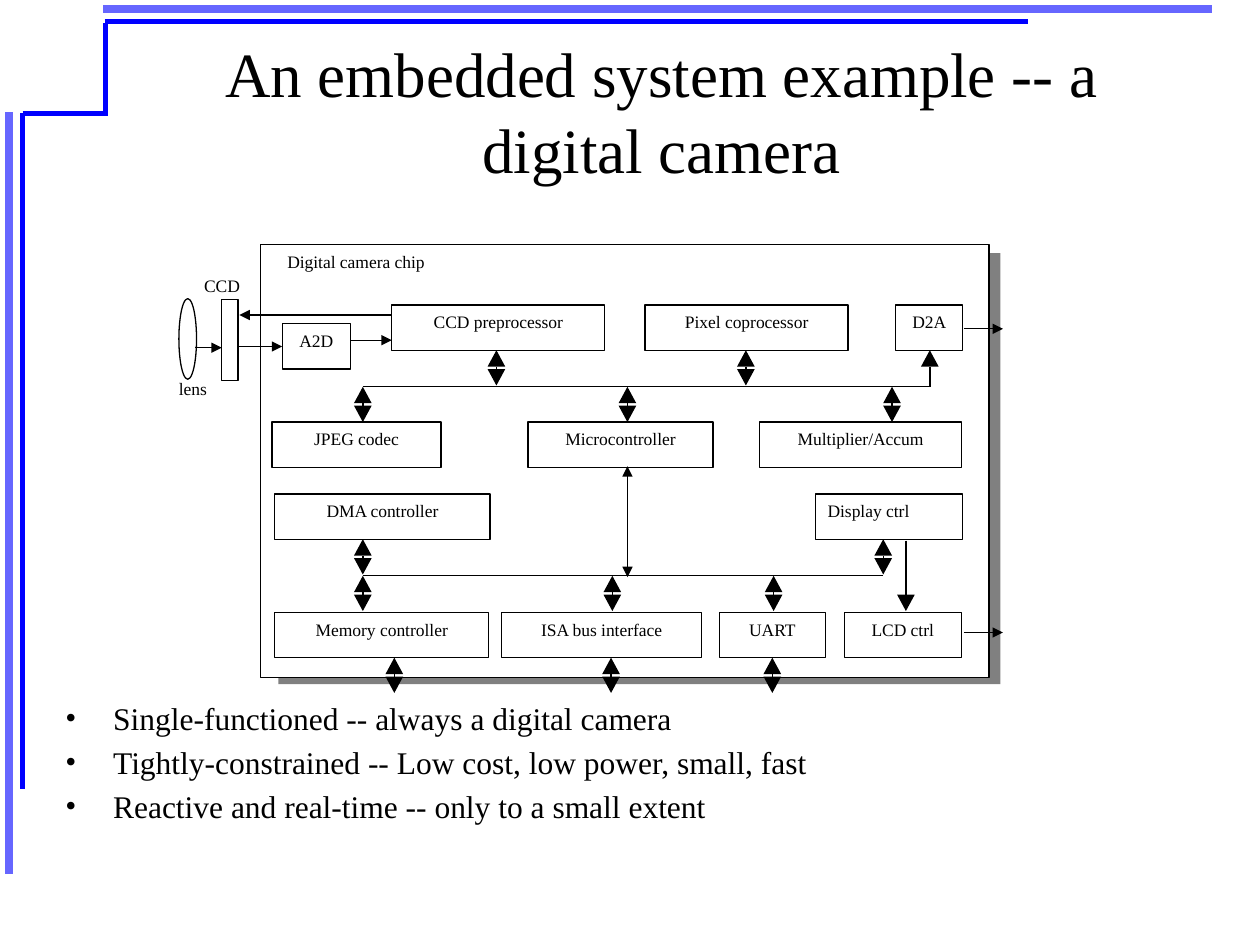
from lxml.etree import SubElement
from pptx import Presentation
from pptx.dml.color import RGBColor
from pptx.enum.shapes import MSO_CONNECTOR, MSO_SHAPE
from pptx.enum.text import MSO_ANCHOR, MSO_AUTO_SIZE, PP_ALIGN
from pptx.oxml.ns import qn
from pptx.util import Inches, Pt

# Content
TITLE = "An embedded system example -- a digital camera"
BULLETS = [
    "Single-functioned -- always a digital camera",
    "Tightly-constrained -- Low cost, low power, small, fast",
    "Reactive and real-time -- only to a small extent",
]
# Rows of blocks: top, then (name, left, width)
BLOCK_ROWS = [
    (2.42, [("CCD preprocessor", 3.11, 1.69), ("Pixel coprocessor", 5.12, 1.61),
            ("D2A", 7.11, 0.53)]),
    (2.57, [("A2D", 2.24, 0.54)]),
    (3.35, [("JPEG codec", 2.16, 1.34), ("Microcontroller", 4.19, 1.47),
            ("Multiplier/Accum", 6.03, 1.6)]),
    (3.92, [("DMA controller", 2.18, 1.71), ("Display ctrl", 6.47, 1.17)]),
    (4.86, [("Memory controller", 2.18, 1.7), ("ISA bus interface", 3.98, 1.59),
            ("UART", 5.71, 0.84), ("LCD ctrl", 6.7, 0.93)]),
]
LEFT_ALIGNED = {"Display ctrl"}
LABELS = [("Digital camera chip", 2.28, 1.99, 1.12), ("lens", 1.42, 3, 0.25),
          ("CCD", 1.62, 2.18, 0.31)]
# Short two-way links: top, then the centre of each
LINK_ROWS = [
    (2.78, [3.94, 5.92]),
    (3.07, [2.88, 4.98, 7.08]),
    (4.28, [2.88, 7.01]),
    (4.57, [2.88, 4.86, 6.14]),
    (5.22, [3.13, 4.85, 6.13]),
]
BUSES = [(2.88, 3.07, 7.38, 3.07), (2.88, 4.57, 7.01, 4.57)]
SIGNALS = [
    (2.78, 2.7, 3.11, 2.7), (1.9, 2.75, 2.24, 2.75), (1.55, 2.76, 1.76, 2.76),
    (3.11, 2.5, 1.9, 2.5), (7.65, 2.61, 7.96, 2.61), (7.65, 5.02, 7.96, 5.02),
]
OUTER_FRAME = [(0.07, 0.89, 0.07, 6.94), (0.82, 0.07, 9.62, 0.07)]
INNER_FRAME = [(0.18, 0.9, 0.18, 6.26), (0.83, 0.17, 8.16, 0.17),
               (0.18, 0.9, 0.85, 0.9), (0.84, 0.92, 0.84, 0.18)]

THEME = {
    "font": "Times New Roman", "title": 36, "body": 18, "label": 10,
    "ink": "000000", "paper": "FFFFFF", "shadow": "808080",
    "outer": "6666FF", "inner": "0000FF",
}
BLOCK_HEIGHT = 0.36
LINK_HEIGHT = 0.28
HEAD_WIDTH, HEAD_HEIGHT = 0.14, 0.13

presentation = Presentation()
presentation.slide_width, presentation.slide_height = Inches(10), Inches(7.5)
slide = presentation.slides.add_slide(presentation.slide_layouts[5])
shapes = slide.shapes


def color(name):
    return RGBColor.from_string(THEME[name])


def box(*lengths):
    return [Inches(length) for length in lengths]


def style_text(paragraph, size, align=PP_ALIGN.LEFT):
    paragraph.alignment = align
    paragraph.font.name = THEME["font"]
    paragraph.font.size = Pt(THEME[size])
    paragraph.font.color.rgb = color("ink")


def set_margins(frame, horizontal, vertical):
    frame.margin_left = frame.margin_right = Inches(horizontal)
    frame.margin_top = frame.margin_bottom = Inches(vertical)


def add_line(start_x, start_y, end_x, end_y, ink="ink", width=0.75, ends=()):
    line = shapes.add_connector(MSO_CONNECTOR.STRAIGHT,
                                *box(start_x, start_y, end_x, end_y))
    line.line.color.rgb = color(ink)
    line.line.width = Pt(width)
    for end in ends:
        SubElement(line.line._get_or_add_ln(), qn(f"a:{end}"), type="triangle")
    SubElement(line._element.spPr, qn("a:effectLst"))


def add_outline(kind, left, top, width, height, fill=None, line="ink"):
    shape = shapes.add_shape(kind, *box(left, top, width, height))
    shape.shadow.inherit = False
    if fill:
        shape.fill.solid()
        shape.fill.fore_color.rgb = color(fill)
    else:
        shape.fill.background()
    if line:
        shape.line.color.rgb = color(line)
        shape.line.width = Pt(0.75)
    else:
        shape.line.fill.background()
    return shape


def add_head(x, tip, direction):
    """Solid arrowhead; direction is -1 for up and 1 for down."""
    base = tip - direction * HEAD_HEIGHT
    half = HEAD_WIDTH / 2
    builder = shapes.build_freeform(Inches(x - half), Inches(base))
    builder.add_line_segments([box(x, tip), box(x + half, base)], close=True)
    head = builder.convert_to_shape()
    head.shadow.inherit = False
    head.fill.solid()
    head.fill.fore_color.rgb = color("ink")
    head.line.fill.background()


# Corner frame
for ends in OUTER_FRAME:
    add_line(*ends, ink="outer", width=4.5)
for ends in INNER_FRAME:
    add_line(*ends, ink="inner", width=3)

# Title
title = shapes.title
title.left, title.top, title.width, title.height = box(1, 0.25, 8.5, 1.25)
title.text_frame.text = TITLE
title.text_frame.auto_size = MSO_AUTO_SIZE.NONE
title.text_frame.vertical_anchor = MSO_ANCHOR.MIDDLE
style_text(title.text_frame.paragraphs[0], "title", PP_ALIGN.CENTER)

# Bullets
body = shapes.add_textbox(*box(0.42, 5.5, 9.17, 1.08)).text_frame
body.word_wrap = True
body.text = "\n".join(BULLETS)
for index, paragraph in enumerate(body.paragraphs):
    properties = paragraph._p.get_or_add_pPr()
    properties.set("marL", str(Inches(0.38)))
    properties.set("indent", str(-Inches(0.38)))
    SubElement(properties, qn("a:buFont"), typeface=THEME["font"])
    SubElement(properties, qn("a:buChar"), char="•")
    style_text(paragraph, "body")
    if index:
        paragraph.space_before = Pt(3.6)

# Chip with its shadow, lens and CCD
add_outline(MSO_SHAPE.RECTANGLE, 2.21, 2.01, 5.73, 3.42, "shadow", None)
add_outline(MSO_SHAPE.RECTANGLE, 2.07, 1.94, 5.78, 3.44, "paper")
add_outline(MSO_SHAPE.OVAL, 1.42, 2.37, 0.14, 0.64, "paper")
add_outline(MSO_SHAPE.RECTANGLE, 1.76, 2.38, 0.13, 0.64, "paper")

# Blocks
for top, blocks in BLOCK_ROWS:
    for name, left, width in blocks:
        block = add_outline(MSO_SHAPE.RECTANGLE, left, top, width, BLOCK_HEIGHT)
        frame = block.text_frame
        frame.text = name
        frame.vertical_anchor = MSO_ANCHOR.TOP
        is_left = name in LEFT_ALIGNED
        set_margins(frame, 0.1 if is_left else 0, 0.05)
        style_text(frame.paragraphs[0], "label",
                   PP_ALIGN.LEFT if is_left else PP_ALIGN.CENTER)

# Labels, each growing with its single line of text
for name, left, top, width in LABELS:
    frame = shapes.add_textbox(*box(left, top, width, 0.17)).text_frame
    frame.word_wrap = False
    frame.auto_size = MSO_AUTO_SIZE.SHAPE_TO_FIT_TEXT
    set_margins(frame, 0, 0)
    frame.text = name
    style_text(frame.paragraphs[0], "label")

# Buses and signals
for ends in BUSES:
    add_line(*ends)
for ends in SIGNALS:
    add_line(*ends, ends=["tailEnd"])
add_line(4.98, 3.7, 4.98, 4.58, ends=["headEnd", "tailEnd"])

# Two-way links, then the one-way links to D2A and LCD ctrl
for top, centres in LINK_ROWS:
    bottom = top + LINK_HEIGHT
    for x in centres:
        add_line(x, top + HEAD_HEIGHT, x, bottom - HEAD_HEIGHT)
        add_head(x, top, -1)
        add_head(x, bottom, 1)
for x, start, tip, direction in [(7.38, 3.07, 2.78, -1), (7.19, 4.29, 4.85, 1)]:
    add_line(x, start, x, tip - direction * HEAD_HEIGHT)
    add_head(x, tip, direction)

presentation.save("out.pptx")
